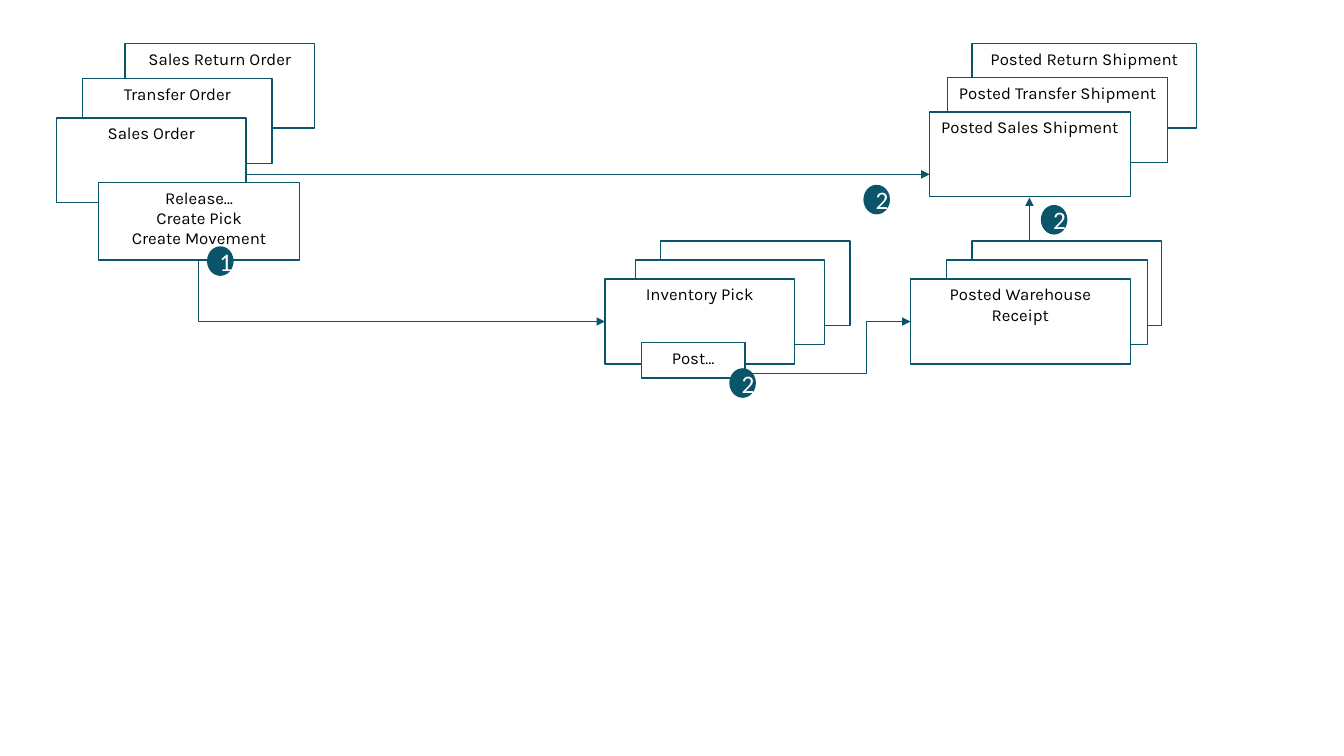
import pptx
import pptx.util
import pptx.dml.color
import pptx.enum.shapes
import pptx.enum.text
import pptx.oxml
import pptx.oxml.ns

Inches = pptx.util.Inches
Pt = pptx.util.Pt
RGBColor = pptx.dml.color.RGBColor
SHAPE = pptx.enum.shapes.MSO_SHAPE
CONNECTOR = pptx.enum.shapes.MSO_CONNECTOR
ANCHOR = pptx.enum.text.MSO_ANCHOR
ALIGN = pptx.enum.text.PP_ALIGN
qn = pptx.oxml.ns.qn

TEAL = RGBColor(0x0B, 0x55, 0x6A)
WHITE = RGBColor(0xFF, 0xFF, 0xFF)
BLACK = RGBColor(0x00, 0x00, 0x00)

DOC_H = 0.84
ORDERS = [
    (1.24, 0.43, 1.88, "Sales Return Order"),
    (0.82, 0.78, 1.88, "Transfer Order"),
    (0.56, 1.17, 1.88, "Sales Order"),
]
SHIPMENTS = [
    (9.64, 0.43, 2.23, "Posted Return Shipment"),
    (9.4, 0.77, 2.18, "Posted Transfer Shipment"),
    (9.22, 1.11, 1.99, "Posted Sales Shipment"),
]
RECEIPTS = [
    (9.64, 2.39, 1.88, ""),
    (9.39, 2.58, 1.99, ""),
    (9.03, 2.77, 2.18, "Posted Warehouse Receipt"),
]
PICKS = [
    (6.55, 2.39, 1.88, ""),
    (6.3, 2.58, 1.88, ""),
    (6, 2.77, 1.88, "Inventory Pick"),
]


def add_node(s, kind, x, y, w, h, text, fill, color, font, size, anchor):
    sp = s.shapes.add_shape(kind, Inches(x), Inches(y), Inches(w), Inches(h))
    sp.shadow.inherit = False
    sp.fill.solid()
    sp.fill.fore_color.rgb = fill
    sp.line.color.rgb = TEAL
    sp.line.width = Pt(1)
    tf = sp.text_frame
    tf.word_wrap = True
    tf.vertical_anchor = anchor
    tf.text = text
    for p in tf.paragraphs:
        p.alignment = ALIGN.CENTER
        for r in p.runs:
            r.font.name = font
            r.font.size = Pt(size)
            r.font.color.rgb = color


def add_box(s, x, y, w, h, text):
    add_node(s, SHAPE.RECTANGLE, x, y, w, h, text, WHITE, BLACK, "Karla", 12, ANCHOR.TOP)


def add_stack(s, documents):
    for x, y, w, text in documents:
        add_box(s, x, y, w, DOC_H, text)


def add_badge(s, x, y, number):
    add_node(s, SHAPE.FLOWCHART_CONNECTOR, x, y, 0.25, 0.28, number,
             TEAL, WHITE, "Calibri", 18, ANCHOR.MIDDLE)


def add_arrow(s, x1, y1, x2, y2, kind=CONNECTOR.STRAIGHT):
    c = s.shapes.add_connector(kind, Inches(x1), Inches(y1), Inches(x2), Inches(y2))
    c.line.color.rgb = TEAL
    c.line.width = Pt(0.5)
    spPr = c._element.spPr
    tail = pptx.oxml.parse_xml(
        f'<a:tailEnd {pptx.oxml.ns.nsdecls("a")} type="triangle"/>')
    spPr.find(qn("a:ln")).append(tail)
    spPr.append(pptx.oxml.parse_xml(f'<a:effectLst {pptx.oxml.ns.nsdecls("a")}/>'))
    return spPr


def add_step_arrow(s, x1, y1, x2, y2, bend):
    spPr = add_arrow(s, x1, y1, x2, y2, CONNECTOR.ELBOW)
    av = spPr.find(qn("a:prstGeom")).find(qn("a:avLst"))
    av.append(pptx.oxml.parse_xml(
        f'<a:gd {pptx.oxml.ns.nsdecls("a")} name="adj1" fmla="val {round(bend * 100000)}"/>'))


def add_corner_arrow(s, x1, y1, x2, y2):
    cx, cy = (x1 + x2) / 2, (y1 + y2) / 2
    half_w, half_h = (y2 - y1) / 2, (x2 - x1) / 2
    spPr = add_arrow(s, cx + half_w, cy - half_h, cx - half_w, cy + half_h, CONNECTOR.ELBOW)
    spPr.find(qn("a:prstGeom")).set("prst", "bentConnector2")
    spPr.find(qn("a:xfrm")).set("rot", str(270 * 60000))


def main():
    prs = pptx.Presentation()
    prs.slide_width = Inches(13.33)
    prs.slide_height = Inches(7.5)
    s = prs.slides.add_slide(prs.slide_layouts[6])

    add_stack(s, ORDERS)
    add_box(s, 0.98, 1.81, 1.99, 0.77, "Release…\nCreate Pick\nCreate Movement")
    add_stack(s, SHIPMENTS)
    add_stack(s, RECEIPTS)
    add_arrow(s, 2.44, 1.73, 9.22, 1.73)
    add_corner_arrow(s, 1.97, 2.58, 6, 3.19)
    add_stack(s, PICKS)
    add_box(s, 6.36, 3.4, 1.03, 0.35, "Post…")
    add_arrow(s, 10.21, 2.39, 10.21, 1.96)
    add_step_arrow(s, 7.41, 3.7, 9.03, 3.19, 0.73)
    for x, y, number in [(2.06, 2.45, "1"), (10.33, 2.04, "2"),
                         (7.24, 3.66, "2"), (8.57, 1.84, "2")]:
        add_badge(s, x, y, number)

    prs.save("out.pptx")


if __name__ == "__main__":
    main()
